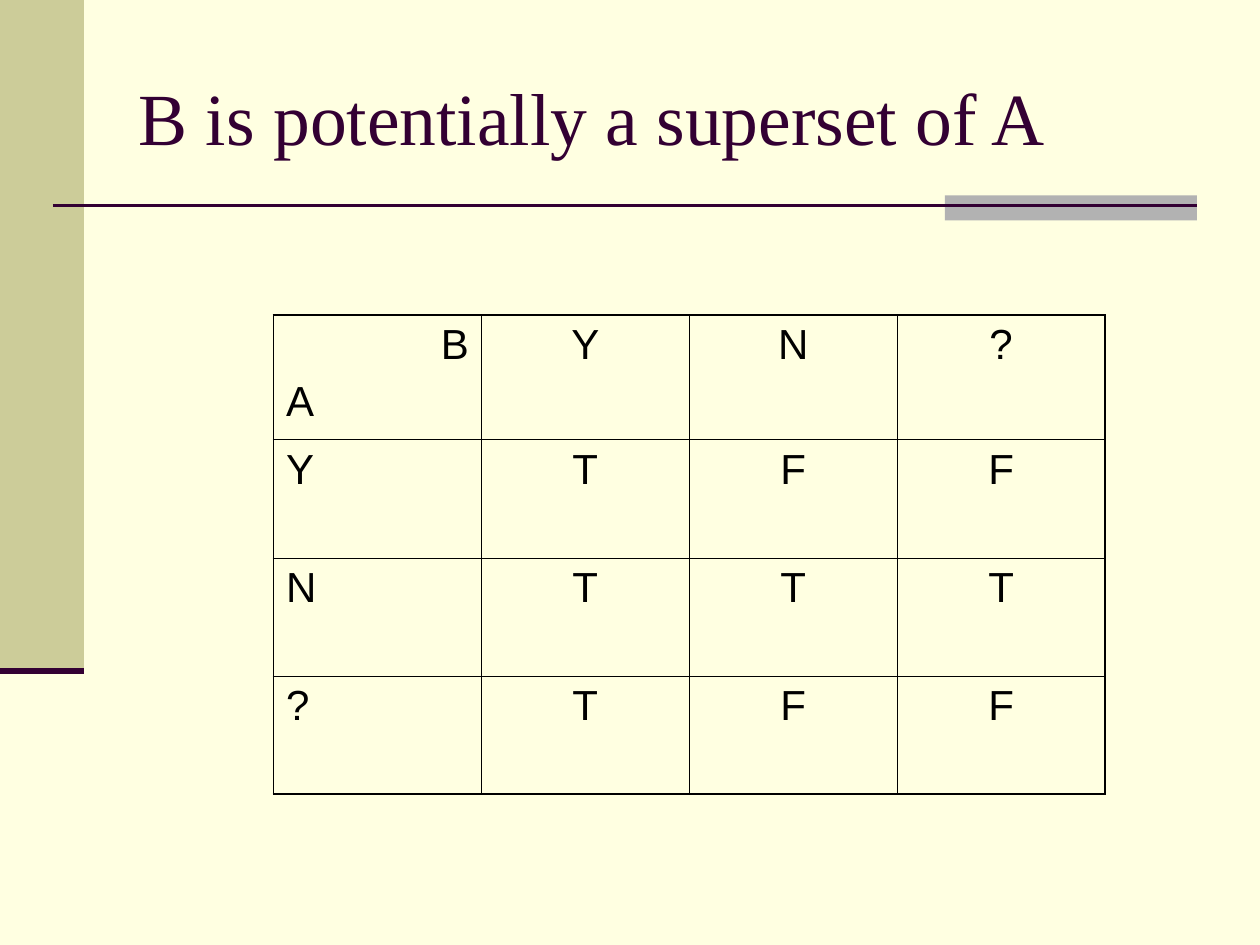
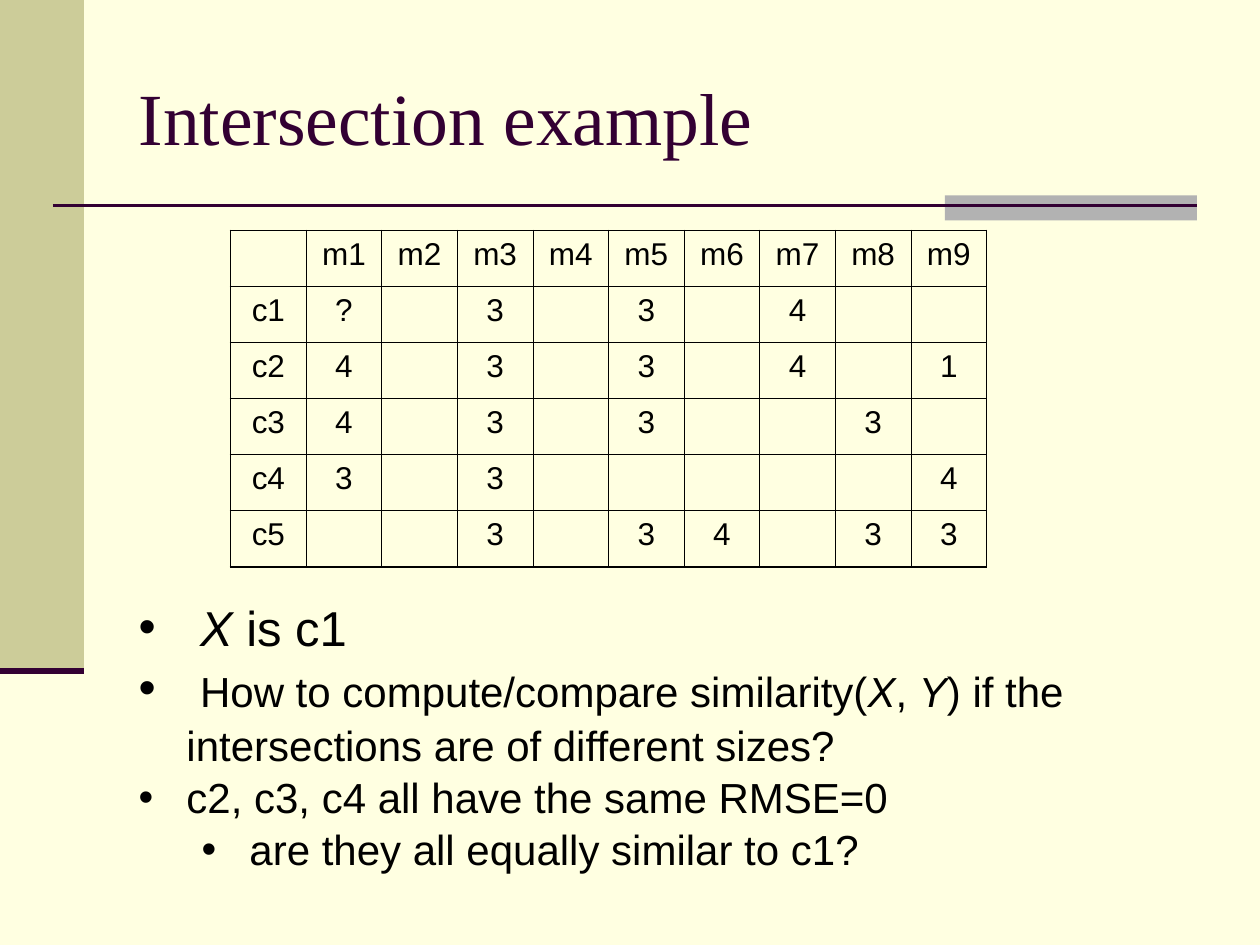
from dataclasses import dataclass

from lxml.etree import SubElement
from pptx import Presentation
from pptx.dml.color import RGBColor
from pptx.enum.shapes import MSO_CONNECTOR, MSO_SHAPE
from pptx.enum.text import MSO_ANCHOR, MSO_AUTO_SIZE, PP_ALIGN
from pptx.oxml.ns import qn
from pptx.util import Inches, Pt


@dataclass(frozen=True)
class Theme:
    paper: str = "FFFFE1"
    band: str = "CCCC99"
    tab: str = "B2B2B2"
    accent: str = "330033"
    ink: str = "000000"
    title_font: str = "Times New Roman"
    body_font: str = "Arial"
    title_size: float = 42
    lead_size: float = 28
    body_size: float = 24
    small_size: float = 18
    rule: float = 1.5
    band_rule: float = 3.5
    outer_border: float = 1.08
    inner_border: float = 0.45


THEME = Theme()
WIDTH, HEIGHT = 10, 7.5
TITLE_AREA = (1, 0.3, 8.5, 1.25)
BAND_WIDTH, BAND_HEIGHT = WIDTH / 15, HEIGHT * 0.71
RULE_LEFT, RULE_RIGHT, RULE_Y = 0.42, 9.5, 1.63
TAB_AREA = (7.5, 1.55, 2, 0.2)

SUPERSET = {
    "title": "B is potentially a superset of A",
    "rows": [
        ["B\nA", "Y", "N", "?"],
        ["Y", "T", "F", "F"],
        ["N", "T", "T", "T"],
        ["?", "T", "F", "F"],
    ],
    "origin": (2.17, 2.5),
    "column_width": 1.65,
    "row_heights": [0.99, 0.94, 0.94, 0.93],
    "size": THEME.body_size,
    "label_align": PP_ALIGN.LEFT,
}

INTERSECTION = {
    "title": "Intersection example",
    "rows": [
        [""] + [f"m{number}" for number in range(1, 10)],
        ["c1", "?", "", "3", "", "3", "", "4", "", ""],
        ["c2", "4", "", "3", "", "3", "", "4", "", "1"],
        ["c3", "4", "", "3", "", "3", "", "", "3", ""],
        ["c4", "3", "", "3", "", "", "", "", "", "4"],
        ["c5", "", "", "3", "", "3", "4", "", "3", "3"],
    ],
    "origin": (1.83, 1.83),
    "column_width": 0.6,
    "row_heights": [2.67 / 6] * 6,
    "size": THEME.small_size,
    "label_align": PP_ALIGN.CENTER,
}

# Each bullet: level, then runs of (text, size, italic)
LEAD, BODY = THEME.lead_size, THEME.body_size
QUESTIONS = [
    (0, [(" ", LEAD, False), ("X", LEAD, True), (" is c1", LEAD, False)]),
    (0, [
        (" ", LEAD, False),
        ("How to compute/compare similarity(", BODY, False),
        ("X", BODY, True),
        (", ", BODY, False),
        ("Y", BODY, True),
        (") if the intersections are of different sizes?", BODY, False),
    ]),
    (0, [("c2, c3, c4 all have the same RMSE=0", BODY, False)]),
    (1, [("are they all equally similar to c1?", BODY, False)]),
]
QUESTIONS_AREA = (1, 4.67, 8.25, 2.24)
HANGING, LEVEL_STEP = 0.38, 0.5


def color(code):
    return RGBColor.from_string(code)


def write(paragraph, text, *, size, font=THEME.body_font, ink=THEME.ink,
          italic=False, align=PP_ALIGN.LEFT, before=0):
    paragraph.alignment = align
    paragraph.space_before = Pt(before)
    run = paragraph.add_run()
    run.text = text
    run.font.name, run.font.size, run.font.italic = font, Pt(size), italic
    run.font.color.rgb = color(ink)


def place(shape, area):
    shape.left, shape.top, shape.width, shape.height = map(Inches, area)


def add_block(shapes, area, fill):
    block = shapes.add_shape(MSO_SHAPE.RECTANGLE, *map(Inches, area))
    block.shadow.inherit = False
    block.fill.solid()
    block.fill.fore_color.rgb = color(fill)
    block.line.fill.background()
    return block


def add_rule(shapes, left, right, y, weight):
    rule = shapes.add_connector(MSO_CONNECTOR.STRAIGHT, *map(Inches, (left, y, right, y)))
    rule.line.color.rgb = color(THEME.accent)
    rule.line.width = Pt(weight)
    SubElement(rule.element.spPr, qn("a:effectLst"))
    return rule


def decorate_master(master, slide):
    """Draw the shared band and rules with a slide's shapes, then move them to the master."""
    master.background.fill.solid()
    master.background.fill.fore_color.rgb = color(THEME.paper)
    shapes = slide.shapes
    decorations = [
        add_block(shapes, (0, 0, BAND_WIDTH, BAND_HEIGHT), THEME.band),
        add_block(shapes, TAB_AREA, THEME.tab),
        add_rule(shapes, RULE_LEFT, RULE_RIGHT, RULE_Y, THEME.rule),
        add_rule(shapes, 0, BAND_WIDTH, BAND_HEIGHT, THEME.band_rule),
    ]
    for number, decoration in enumerate(decorations, start=101):
        decoration.element.xpath(".//p:cNvPr")[0].set("id", str(number))
        master.shapes.element.append(decoration.element)


def set_title(slide, text):
    title = slide.shapes.title
    place(title, TITLE_AREA)
    title.text_frame.vertical_anchor = MSO_ANCHOR.MIDDLE
    title.text_frame.auto_size = MSO_AUTO_SIZE.NONE
    write(title.text_frame.paragraphs[0], text, size=THEME.title_size,
          font=THEME.title_font, ink=THEME.accent)


def set_borders(cell, outer_sides):
    properties = cell._tc.get_or_add_tcPr()
    for position, side in enumerate("LRTB"):
        weight = THEME.outer_border if side in outer_sides else THEME.inner_border
        border = SubElement(properties, qn(f"a:ln{side}"), w=str(Pt(weight)))
        fill = SubElement(border, qn("a:solidFill"))
        SubElement(fill, qn("a:srgbClr"), val=THEME.ink)
        properties.insert(position, border)


def add_grid(slide, grid):
    rows, heights = grid["rows"], grid["row_heights"]
    columns = len(rows[0])
    area = (*grid["origin"], columns * grid["column_width"], sum(heights))
    table = slide.shapes.add_table(len(rows), columns, *map(Inches, area)).table
    table.first_row = table.horz_banding = False
    for column in table.columns:
        column.width = Inches(grid["column_width"])
    for r, (row, height) in enumerate(zip(rows, heights)):
        table.rows[r].height = Inches(height)
        for c, entry in enumerate(row):
            cell = table.cell(r, c)
            cell.fill.background()
            edges = {"L": c == 0, "R": c == columns - 1, "T": r == 0, "B": r == len(rows) - 1}
            set_borders(cell, [side for side, is_outer in edges.items() if is_outer])
            fill_cell(cell, entry, grid, is_label=c == 0)


def fill_cell(cell, entry, grid, is_label):
    """Write a cell; in a two-line corner the first line names the columns, on the right."""
    lines = entry.split("\n")
    frame = cell.text_frame
    for number, line in enumerate(lines):
        paragraph = frame.add_paragraph() if number else frame.paragraphs[0]
        align = grid["label_align"] if is_label else PP_ALIGN.CENTER
        if number < len(lines) - 1:
            align = PP_ALIGN.RIGHT
        if line:
            write(paragraph, line, size=grid["size"], align=align, before=grid["size"] / 4)
        else:
            paragraph.font.size = Pt(grid["size"])


def set_bullet(paragraph, level):
    paragraph.level = level
    properties = paragraph._p.get_or_add_pPr()
    properties.set("marL", str(Inches(HANGING + level * LEVEL_STEP)))
    properties.set("indent", str(Inches(-HANGING)))
    SubElement(SubElement(properties, qn("a:buClr")), qn("a:srgbClr"), val=THEME.ink)
    SubElement(properties, qn("a:buFont"), typeface=THEME.body_font)
    SubElement(properties, qn("a:buChar"), char="•")


def set_questions(slide, questions):
    body = slide.placeholders[1]
    place(body, QUESTIONS_AREA)
    frame = body.text_frame
    frame.auto_size = MSO_AUTO_SIZE.NONE
    frame.vertical_anchor = MSO_ANCHOR.TOP
    for number, (level, runs) in enumerate(questions):
        paragraph = frame.add_paragraph() if number else frame.paragraphs[0]
        paragraph.line_spacing = 1.04
        for text, size, italic in runs:
            write(paragraph, text, size=size, italic=italic)
        set_bullet(paragraph, level)


def main():
    deck = Presentation()
    deck.slide_width, deck.slide_height = Inches(WIDTH), Inches(HEIGHT)
    title_only = deck.slide_layouts.get_by_name("Title Only")
    title_and_content = deck.slide_layouts.get_by_name("Title and Content")

    superset = deck.slides.add_slide(title_only)
    intersection = deck.slides.add_slide(title_and_content)
    decorate_master(deck.slide_master, superset)
    for slide, grid in ((superset, SUPERSET), (intersection, INTERSECTION)):
        set_title(slide, grid["title"])
        add_grid(slide, grid)
    set_questions(intersection, QUESTIONS)
    deck.save("out.pptx")


if __name__ == "__main__":
    main()
